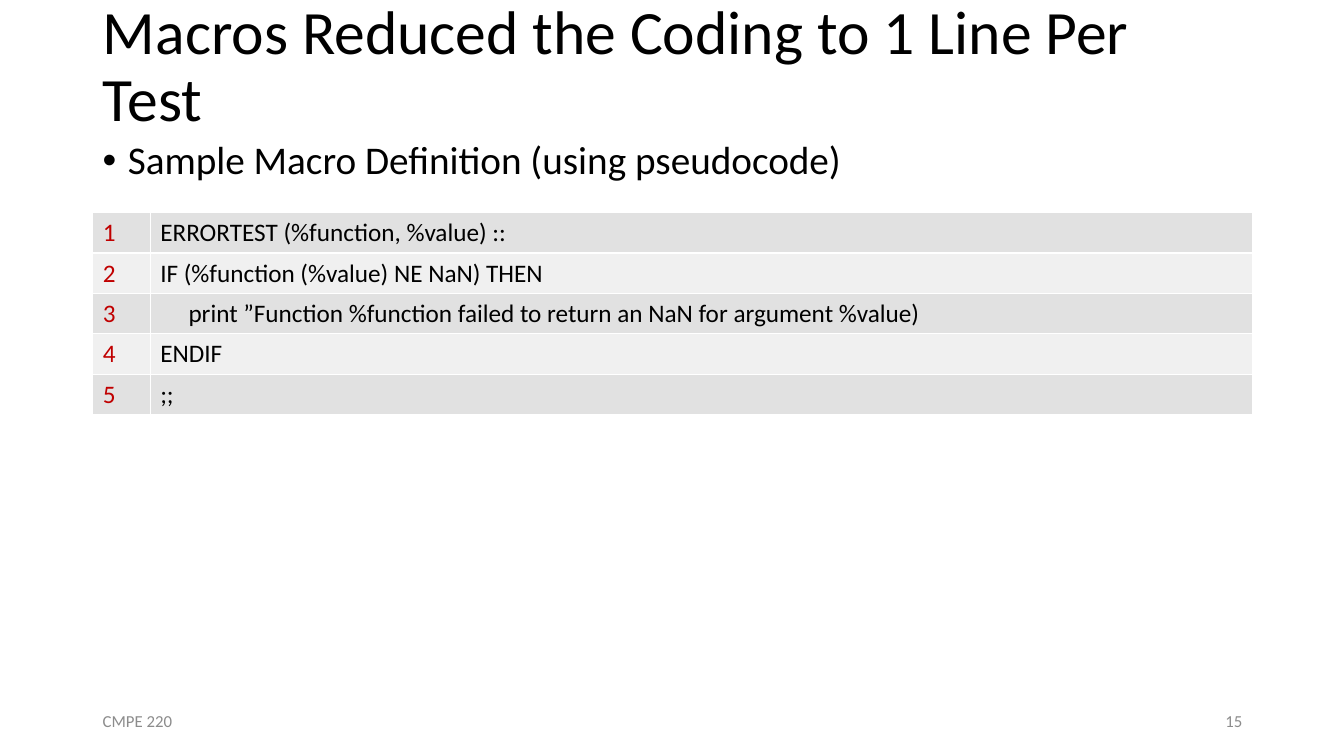
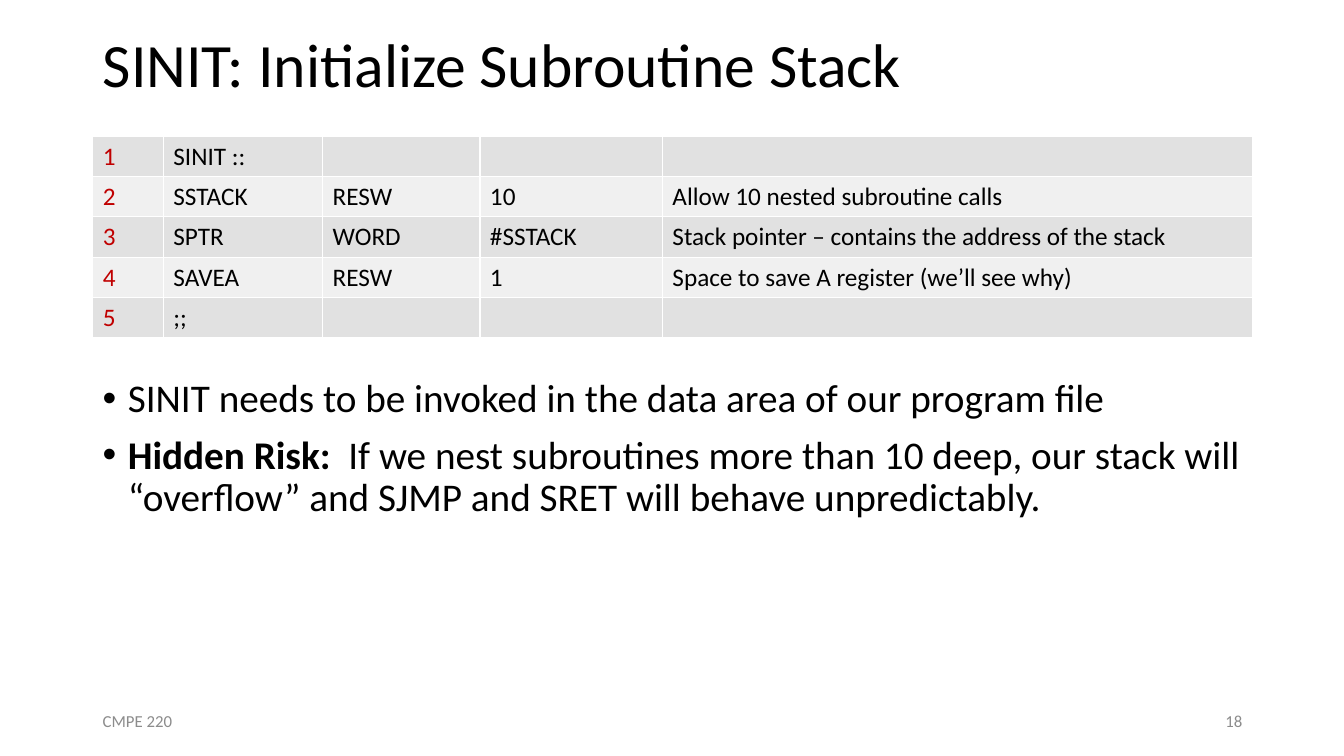
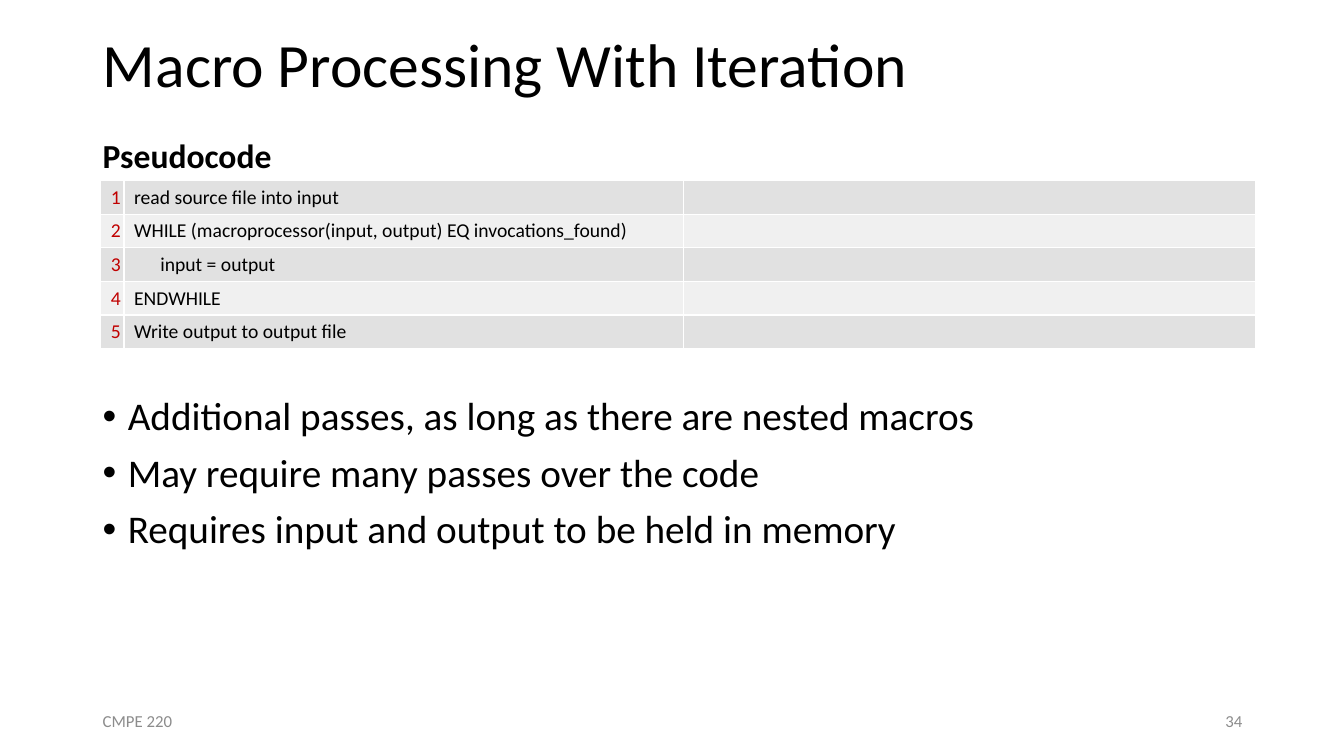
from dataclasses import dataclass

from lxml.etree import SubElement
from pptx import Presentation
from pptx.dml.color import RGBColor as Rgb
from pptx.enum.text import MSO_ANCHOR as Anchor, MSO_AUTO_SIZE as AutoSize, PP_ALIGN as Align
from pptx.oxml.ns import qn
from pptx.util import Pt

PX = 9144  # EMU in one px, 100 px to the inch


@dataclass(frozen=True)
class Theme:
    font: str = "Calibri"
    ink: str = "000000"
    number: str = "C00000"
    muted: str = "8C8C8C"
    rule: str = "FFFFFF"
    bands: tuple = ("E1E1E1", "F0F0F0")
    title_size: int = 44
    body_size: int = 28
    label_size: int = 24
    code_size: int = 18
    small_code_size: int = 14
    footer_size: int = 12
    left: int = 92
    width: int = 1150


def assign(target, values):
    for name, value in values.items():
        setattr(target, name, value)


class Lecture:
    def __init__(self, theme):
        self.theme = theme
        self.deck = Presentation()
        assign(self.deck, {"slide_width": 1333 * PX, "slide_height": 750 * PX})
        self.page = None

    # Text building
    def add_span(self, para, text, size, color=None, bold=False):
        span = para.add_run()
        span.text = text
        assign(span.font, {"name": self.theme.font, "size": Pt(size), "bold": bold})
        span.font.color.rgb = Rgb.from_string(color or self.theme.ink)

    def box(self, left, top, width, height, **frame_values):
        box = self.page.shapes.add_textbox(left * PX, top * PX, width * PX, height * PX)
        assign(box.text_frame, {"word_wrap": True, **frame_values})
        return box.text_frame

    # Page with its title and footer
    def new_page(self, title, number):
        theme = self.theme
        self.page = self.deck.slides.add_slide(self.deck.slide_layouts[5])
        holder = self.page.shapes.title
        assign(holder, {"left": theme.left * PX, "top": 0,
                        "width": theme.width * PX, "height": 135 * PX})
        assign(holder.text_frame, {"vertical_anchor": Anchor.MIDDLE, "word_wrap": True,
                                   "auto_size": AutoSize.NONE})
        para = holder.text_frame.paragraphs[0]
        assign(para, {"alignment": Align.LEFT, "line_spacing": 0.9})
        self.add_span(para, title, theme.title_size)

        footer_width = 300
        right = theme.left + theme.width - footer_width
        for left, text, side in ((theme.left, "CMPE 220", Align.LEFT),
                                 (right, str(number), Align.RIGHT)):
            frame = self.box(left, 695, footer_width, 40, vertical_anchor=Anchor.MIDDLE)
            frame.paragraphs[0].alignment = side
            self.add_span(frame.paragraphs[0], text, theme.footer_size, theme.muted)

    def label(self, text, left, top, width, height):
        frame = self.box(left, top, width, height, word_wrap=False,
                         auto_size=AutoSize.SHAPE_TO_FIT_TEXT)
        self.add_span(frame.paragraphs[0], text, self.theme.label_size, bold=True)

    # Bulleted body: each item is a list of (text, bold) spans
    def bullets(self, top, height, items):
        frame = self.box(self.theme.left, top, self.theme.width, height)
        for index, item in enumerate(items):
            para = frame.add_paragraph() if index else frame.paragraphs[0]
            assign(para, {"line_spacing": 0.9, "space_before": Pt(10)})
            props = para._p.get_or_add_pPr()
            props.set("marL", str(25 * PX))
            props.set("indent", str(-25 * PX))
            SubElement(props, qn("a:buFont"), typeface="Arial")
            SubElement(props, qn("a:buChar"), char="•")
            for text, bold in item:
                self.add_span(para, text, self.theme.body_size, bold=bold)

    # Numbered code listing; indents maps a row index to the px its code moves in
    def listing(self, left, top, columns, row_height, size, rows, indents):
        shape = self.page.shapes.add_table(
            len(rows), len(columns), left * PX, top * PX,
            sum(columns) * PX, row_height * len(rows) * PX)
        table = shape.table
        assign(table, {"first_row": False, "horz_banding": False})
        for column, width in zip(table.columns, columns):
            column.width = width * PX
        for row_index, texts in enumerate(rows):
            table.rows[row_index].height = row_height * PX
            band = self.theme.bands[row_index % 2]
            line = (str(row_index + 1), *texts)
            for column_index in range(len(columns)):
                cell = table.cell(row_index, column_index)
                self.paint(cell, band)
                para = cell.text_frame.paragraphs[0]
                if column_index >= len(line):
                    SubElement(para._p, qn("a:endParaRPr"), sz=str(size * 100))
                    continue
                color = self.theme.ink if column_index else self.theme.number
                if column_index == 1 and row_index in indents:
                    para._p.get_or_add_pPr().set("marL", str(indents[row_index] * PX))
                self.add_span(para, line[column_index], size, color)
            if columns[0] < 30:
                table.cell(row_index, 0).margin_right = 0

    def paint(self, cell, color):
        props = cell._tc.get_or_add_tcPr()
        for side in ("lnL", "lnR", "lnT", "lnB"):
            border = SubElement(props, qn(f"a:{side}"), w=str(Pt(1)))
            fill = SubElement(border, qn("a:solidFill"))
            SubElement(fill, qn("a:srgbClr"), val=self.theme.rule)
        cell.fill.solid()
        cell.fill.fore_color.rgb = Rgb.from_string(color)


def main():
    theme = Theme()
    lecture = Lecture(theme)

    # Macro definition
    lecture.new_page("Macros Reduced the Coding to 1 Line Per Test", 15)
    lecture.bullets(135, 99, [[("Sample Macro Definition (using pseudocode)", False)]])
    lecture.listing(theme.left, 211, (57, 1093), 40, theme.code_size, [
        ("ERRORTEST (%function, %value) ::",),
        ("IF (%function (%value) NE NaN) THEN",),
        ("print ”Function %function failed to return an NaN for argument %value)",),
        ("ENDIF",),
        (";;",),
    ], {2: 28})

    # Subroutine stack
    lecture.new_page("SINIT: Initialize Subroutine Stack", 18)
    lecture.bullets(371, 236, [
        [("SINIT needs to be invoked in the data area of our program file", False)],
        [("Hidden Risk:  ", True),
         ("If we nest subroutines more than 10 deep, our stack will “overflow” "
          "and SJMP and SRET will behave unpredictably.", False)],
    ])
    lecture.listing(theme.left, 135, (70, 158, 156, 181, 585), 40, theme.code_size, [
        ("SINIT ::",),
        ("SSTACK", "RESW", "10", "Allow 10 nested subroutine calls"),
        ("SPTR", "WORD", "#SSTACK", "Stack pointer – contains the address of the stack"),
        ("SAVEA", "RESW", "1", "Space to save A register (we’ll see why)"),
        (";;",),
    ], {})

    # Iteration
    lecture.new_page("Macro Processing With Iteration", 34)
    lecture.listing(100, 179, (23, 555, 567), 33, theme.small_code_size, [
        ("read source file into input",),
        ("WHILE (macroprocessor(input, output) EQ invocations_found)",),
        ("input = output",),
        ("ENDWHILE",),
        ("Write output to output file",),
    ], {2: 26})
    lecture.label("Pseudocode", theme.left, 129, 189, 50)
    lecture.bullets(389, 274, [[(text, False)] for text in (
        "Additional passes, as long as there are nested macros",
        "May require many passes over the code",
        "Requires input and output to be held in memory",
    )])

    lecture.deck.save("out.pptx")


if __name__ == "__main__":
    main()
